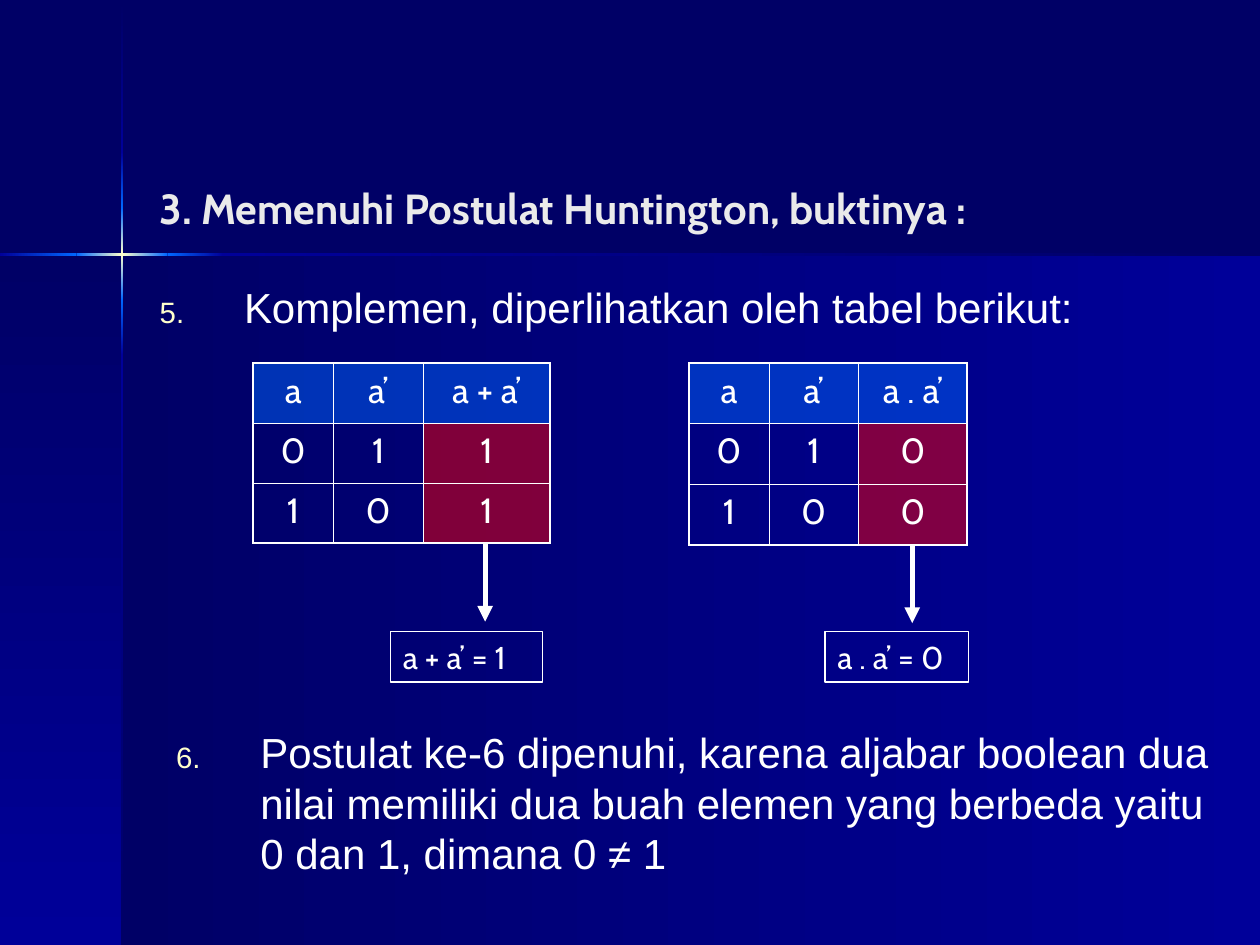
from copy import deepcopy
from itertools import pairwise

from lxml.etree import SubElement
from pptx import Presentation
from pptx.dml.color import RGBColor
from pptx.enum.shapes import MSO_CONNECTOR, MSO_SHAPE
from pptx.enum.text import MSO_ANCHOR, PP_ALIGN
from pptx.oxml.ns import qn
from pptx.util import Cm, Pt

HUES = {
    "night": "000066",
    "navy": "000099",
    "blue": "0066FF",
    "cream": "FFFFCC",
    "red": "FF0000",
    "white": "FFFFFF",
    "pale": "EAEAEA",
}
WIDE, HIGH = 25.4, 19.05
THICK, THIN = 1.08, 0.45
FADES = [
    ("night", "navy"),
    ("navy", "blue"),
    ("blue", "cream", "blue"),
    ("blue", "navy"),
    ("navy", "night"),
]


def color(name):
    return RGBColor.from_string(HUES[name])


def place(*sizes):
    return [Cm(size) for size in sizes]


def write(frame, words, size=24, font="Cabin", hue="white", bold=False,
          align=PP_ALIGN.LEFT, anchor=MSO_ANCHOR.TOP, start=None):
    frame.word_wrap = True
    frame.vertical_anchor = anchor
    para = frame.paragraphs[0]
    para.alignment = align
    if start:
        number(para, start)
    run = para.add_run()
    run.text = words
    run.font.size = Pt(size)
    run.font.name = font
    run.font.bold = bold
    run.font.color.rgb = color(hue)


def number(para, start):
    props = para._p.get_or_add_pPr()
    props.set("marL", str(Cm(1.7)))
    props.set("indent", str(Cm(-1.7)))
    tint = SubElement(props, qn("a:buClr"))
    SubElement(tint, qn("a:srgbClr"), val=HUES["cream"])
    SubElement(props, qn("a:buSzPct"), val="70000")
    SubElement(props, qn("a:buFont"), typeface="Arial")
    SubElement(props, qn("a:buAutoNum"), type="arabicPeriod", startAt=str(start))


def label(slide, box, words, **style):
    frame = slide.shapes.add_textbox(*place(*box)).text_frame
    write(frame, words, **style)


def fade(slide, box, names, angle):
    bar = slide.shapes.add_shape(MSO_SHAPE.RECTANGLE, *place(*box))
    bar.shadow.inherit = False
    bar.line.fill.background()
    bar.fill.gradient()
    bar.fill.gradient_angle = angle
    stops = bar.fill.gradient_stops
    stops[0].color.rgb = color(names[0])
    stops[1].color.rgb = color(names[-1])
    if len(names) == 3:
        first = bar._element.spPr.find(".//" + qn("a:gs"))
        first.addnext(deepcopy(first))
        middle = bar.fill.gradient_stops[1]
        middle.position = 0.5
        middle.color.rgb = color(names[1])


def backdrop(slide):
    slide.background.fill.solid()
    slide.background.fill.fore_color.rgb = color("night")
    left, top, band = 2.46, 5.13, 0.05
    fade(slide, (left, top, WIDE - left, HIGH - top), FADES[0], 0)
    fade(slide, (0, top, left, HIGH - top), FADES[0], 270)
    rows = pairwise([0.03, 3.07, 4.19, 6.05, 7.16, HIGH])
    for (begin, end), names in zip(rows, FADES):
        fade(slide, (2.44, begin, band, end - begin), names, 270)
    cols = pairwise([0, 1.54, 3.38, 4.5, WIDE])
    for (begin, end), names in zip(cols, FADES[1:]):
        fade(slide, (begin, 5.11, end - begin, band), names, 0)


def border(cell, widths):
    props = cell._tc.get_or_add_tcPr()
    for spot, (side, width) in enumerate(zip("LRTB", widths)):
        line = SubElement(props, qn("a:ln" + side), w=str(Pt(width)))
        fill = SubElement(line, qn("a:solidFill"))
        SubElement(fill, qn("a:srgbClr"), val=HUES["white"])
        props.insert(spot, line)


def shade(cell, name):
    if not name:
        cell.fill.background()
        return
    cell.fill.solid()
    cell.fill.fore_color.rgb = color(name)
    tint = cell._tc.tcPr.find(".//" + qn("a:srgbClr"))
    SubElement(tint, qn("a:alpha"), val="50000")


def grid(slide, left, top, cols, row, cells):
    count = len(cells)
    box = place(left, top, sum(cols), row * count)
    table = slide.shapes.add_table(count, len(cols), *box).table
    table.first_row = table.horz_banding = False
    for col, width in zip(table.columns, cols):
        col.width = Cm(width)
    last = len(cols) - 1
    for r, words in enumerate(cells):
        table.rows[r].height = Cm(row)
        for c, word in enumerate(words):
            cell = table.cell(r, c)
            write(cell.text_frame, word, size=20, align=PP_ALIGN.CENTER)
            shade(cell, "blue" if r == 0 else "red" if c == last else None)
            edges = (c == 0, c == last, r == 0, r == count - 1)
            border(cell, [THICK if edge else THIN for edge in edges])


def arrow(slide, x, top, end):
    line = slide.shapes.add_connector(MSO_CONNECTOR.STRAIGHT, *place(x, top, x, end))
    line.line.width = Pt(3)
    line.line.color.rgb = color("white")
    SubElement(line.line._get_or_add_ln(), qn("a:tailEnd"), type="triangle")
    SubElement(line._element.spPr, qn("a:effectLst"))


def result(slide, box, words):
    shape = slide.shapes.add_shape(MSO_SHAPE.RECTANGLE, *place(*box))
    shape.shadow.inherit = False
    shape.fill.background()
    shape.line.color.rgb = color("white")
    shape.line.width = Pt(0.75)
    write(shape.text_frame, words, size=18)


def main():
    deck = Presentation()
    deck.slide_width, deck.slide_height = place(WIDE, HIGH)
    slide = deck.slides.add_slide(deck.slide_layouts[6])
    backdrop(slide)
    label(slide, (2.97, 3.53, 20.96, 1.3),
          "3. Memenuhi Postulat Huntington, buktinya :",
          hue="pale", bold=True, anchor=MSO_ANCHOR.MIDDLE)
    label(slide, (2.97, 5.55, 21.34, 1.42),
          "Komplemen, diperlihatkan oleh tabel berikut:",
          font="Arial", start=5)

    top = 7.32
    proofs = [
        ("a + a’", "1", 5.1, (1.62, 1.81, 2.56), 1.21, 9.78, 7.87, 3.07),
        ("a . a’", "0", 13.89, (1.61, 1.8, 2.2), 1.22, 18.39, 16.63, 2.9),
    ]
    for term, value, left, cols, row, mid, edge, width in proofs:
        cells = [("a", "a’", term), ("0", "1", value), ("1", "0", value)]
        grid(slide, left, top, cols, row, cells)
        base = top + 3 * row
        arrow(slide, mid, base, base + 1.58)
        result(slide, (edge, 12.73, width, 1.02), f"{term} = {value}")

    label(slide, (3.3, 14.53, 21.34, 3.4),
          "Postulat ke-6 dipenuhi, karena aljabar boolean dua nilai memiliki "
          "dua buah elemen yang berbeda yaitu 0 dan 1, dimana 0 ≠ 1",
          font="Arial", start=6)
    deck.save("out.pptx")


if __name__ == "__main__":
    main()
